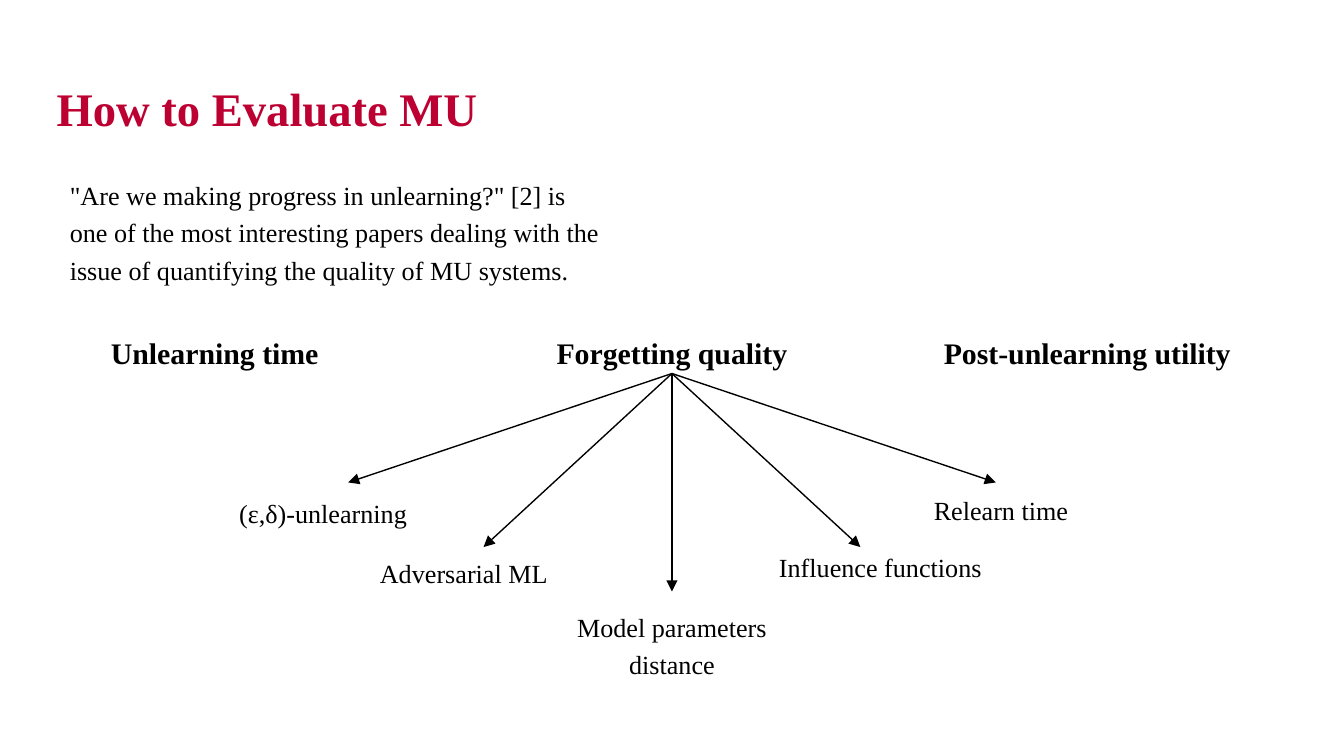
"""Build the slide on how machine unlearning is evaluated."""
from dataclasses import dataclass

from lxml import etree
from pptx import Presentation
from pptx import util as u
from pptx.dml.color import RGBColor
from pptx.enum import shapes, text
from pptx.oxml import ns


@dataclass(frozen=True)
class Theme:
    font: str = "Times New Roman"
    accent: RGBColor = RGBColor(0xBC, 0x00, 0x31)
    ink: RGBColor = RGBColor(0, 0, 0)
    title: int = 25
    heading: int = 16
    body: int = 14


theme = Theme()
left, center = text.PP_ALIGN.LEFT, text.PP_ALIGN.CENTER
top, middle = text.MSO_ANCHOR.TOP, text.MSO_ANCHOR.MIDDLE


def place(box, *bounds):
    for name, value in zip(("left", "top", "width", "height"), bounds):
        setattr(box, name, u.Cm(value))


def write(box, wording, size, align=left, anchor=top, margin=0.25,
          spacing=1.2, bold=False, color=theme.ink):
    frame = box.text_frame
    frame.text = wording
    frame_format = {"word_wrap": True, "auto_size": text.MSO_AUTO_SIZE.NONE,
                    "vertical_anchor": anchor}
    for side in ("left", "top", "right", "bottom"):
        frame_format[f"margin_{side}"] = u.Cm(margin)
    para = frame.paragraphs[0]
    span = para.runs[0]
    for target, values in (
        (frame, frame_format),
        (para, {"alignment": align, "line_spacing": spacing}),
        (span.font, {"name": theme.font, "size": u.Pt(size), "bold": bold}),
    ):
        for name, value in values.items():
            setattr(target, name, value)
    span.font.color.rgb = color


deck = Presentation()
deck.slide_width, deck.slide_height = u.Cm(25.4), u.Cm(14.29)
page = deck.slides.add_slide(deck.slide_layouts[5])

title = page.shapes.title
place(title, 1.07, 1.19, 23.24, 1.83)
write(title, "How to Evaluate MU", theme.title, anchor=middle, margin=0,
      spacing=0.9, bold=True, color=theme.accent)

headings = {}
for wording, mid, width in (
    ("Unlearning time", 4.06, 4.22),
    ("Post-unlearning utility", 20.55, 5.94),
    ("Forgetting quality", 12.7, 5),
):
    box = page.shapes.add_textbox(0, 0, 0, 0)
    place(box, mid - width / 2, 6.12, width, 0.94)
    write(box, wording, theme.heading, center, middle, margin=0, bold=True)
    headings[wording] = box

notes = {}
for wording, align, *bounds in (
    ('"Are we making progress in unlearning?" [2] is one of the most '
     "interesting papers dealing with the issue of quantifying the quality "
     "of MU systems.", left, 1.07, 3.02, 10.62, 2.54),
    ("(ε,δ)-unlearning", left, 4.27, 9.04, 3.71, 1.12),
    ("Adversarial ML", left, 6.93, 10.16, 3.71, 1.12),
    ("Model parameters distance", center, 10.54, 11.18, 4.32, 1.83),
    ("Influence functions", center, 14.33, 10.06, 4.62, 1.12),
    ("Relearn time", center, 16.61, 8.97, 4.62, 1.12),
):
    box = page.shapes.add_textbox(0, 0, 0, 0)
    place(box, *bounds)
    write(box, wording, theme.body, align)
    notes[wording] = box

for offset, tip in ((-6.12, 9.12), (-3.56, 10.34), (0, 11.18),
                    (3.56, 10.34), (6.12, 9.12)):
    arrow = page.shapes.add_connector(
        shapes.MSO_CONNECTOR.STRAIGHT, u.Cm(12.7), u.Cm(7.06),
        u.Cm(12.7 + offset), u.Cm(tip))
    arrow.begin_connect(headings["Forgetting quality"], 2)
    if offset == 0:
        arrow.end_connect(notes["Model parameters distance"], 0)
    arrow.line.color.rgb = theme.ink
    arrow.line.width = u.Pt(0.75)
    etree.SubElement(arrow.line._get_or_add_ln(), ns.qn("a:tailEnd"),
                     type="triangle")
    etree.SubElement(arrow._element.spPr, ns.qn("a:effectLst"))

deck.save("out.pptx")
